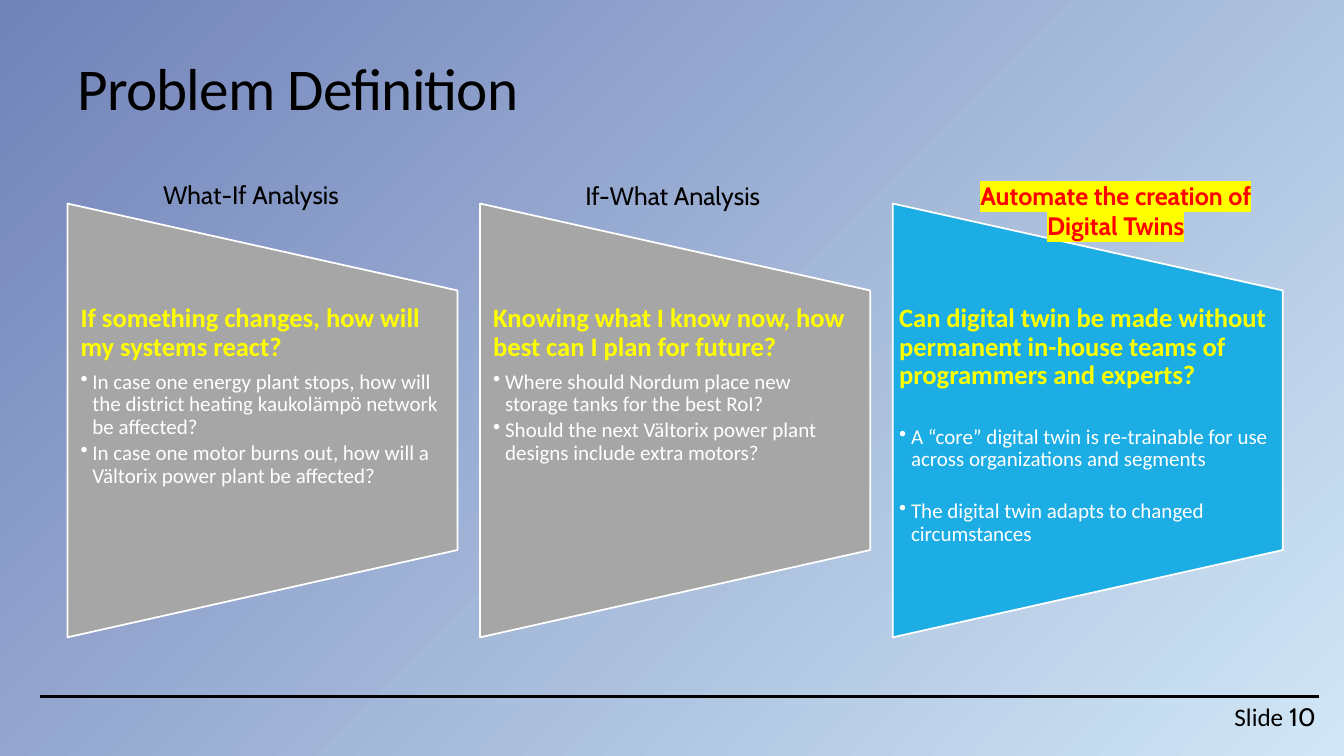
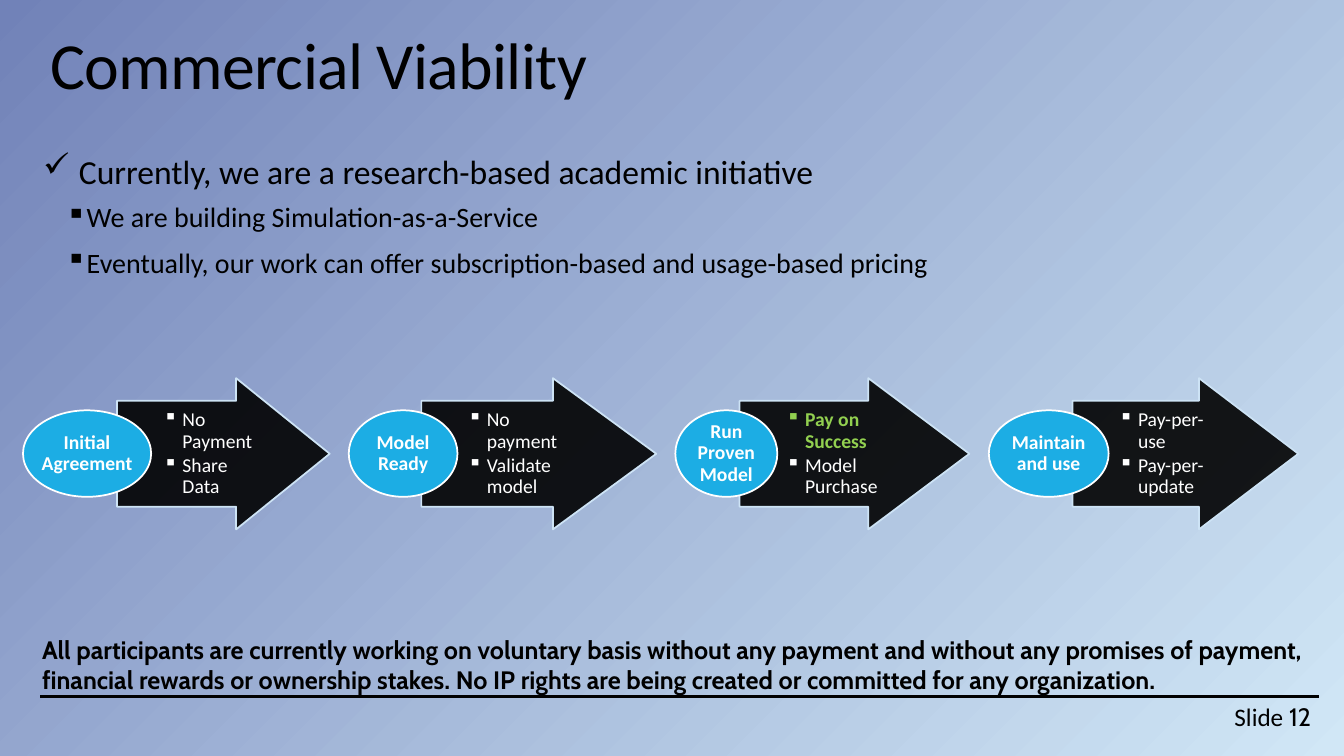
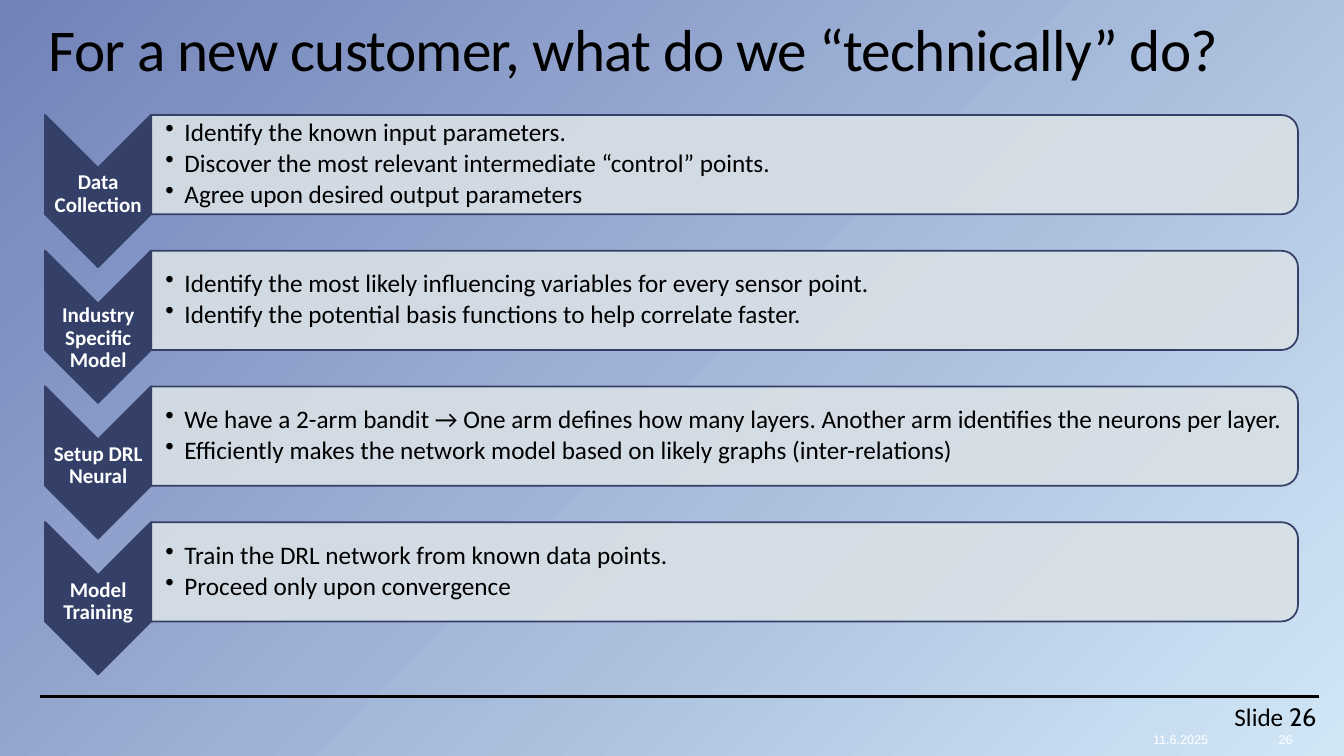
"""Build three slides on digital twins: problem, commercial model and technical steps."""
from copy import deepcopy

from lxml import etree
from pptx import Presentation
from pptx.dml.color import RGBColor
from pptx.enum.shapes import MSO_CONNECTOR, MSO_SHAPE
from pptx.enum.text import MSO_ANCHOR, MSO_AUTO_SIZE, PP_ALIGN
from pptx.oxml.ns import qn
from pptx.util import Cm, Pt

COLORS = {
    "black": "000000", "white": "FFFFFF", "yellow": "FFFF00", "red": "FF0000",
    "green": "92D050", "grey": "A6A6A6", "cyan": "1CADE4", "navy": "344068",
    "pale": "D9E0E6", "ice": "CDE3F5", "sky": "D1E7F6", "dusk": "7182B8",
}
STYLES = {
    "title": {"size": 42.3, "line": 0.9, "spc": -50},
    "big title": {"size": 47, "line": 0.9, "spc": -50},
    "number": {"size": 18},
    "caption": {"size": 18, "name": "Cabin"},
    "marked": {"size": 18, "name": "Cabin", "color": "red", "bold": True,
               "align": PP_ALIGN.CENTER, "highlight": "yellow"},
    "question": {"size": 19, "color": "yellow", "bold": True, "line": 0.9, "after": 6.65},
    "example": {"size": 15, "color": "white", "line": 0.9, "after": 2.25,
                "bullet": "•", "indent": (0.3, -0.3)},
    "spaced": {"size": 15, "color": "white", "line": 0.9, "after": 2.25, "before": 18.7,
               "bullet": "•", "indent": (0.3, -0.3)},
    "claim": {"size": 24, "line": 1.1, "after": 2, "bullet": "✓", "indent": (0.9, -0.9)},
    "detail": {"size": 20, "line": 1.1, "before": 2, "after": 4,
               "bullet": "▪", "indent": (1.07, -0.5)},
    "stage": {"size": 14, "color": "white", "bold": True, "line": 0.9,
              "align": PP_ALIGN.CENTER},
    "term": {"size": 14, "color": "white", "line": 0.9, "after": 2.1,
             "bullet": "▪", "indent": (0.48, -0.48)},
    "payment": {"size": 14, "color": "green", "bold": True, "line": 0.9, "after": 2.1,
                "bullet": "▪", "indent": (0.48, -0.48)},
    "notice": {"size": 18, "name": "Cabin", "bold": True, "indent": (0.56, 0)},
    "step": {"size": 15, "color": "white", "bold": True, "line": 0.9,
             "align": PP_ALIGN.CENTER},
    "task": {"size": 18, "line": 0.9, "after": 2.7, "bullet": "•", "indent": (0.48, -0.48)},
    "date": {"size": 9, "name": "Arial", "color": "white", "align": PP_ALIGN.CENTER},
}


def paint(sp, fill, line, alpha=None):
    sp.shadow.inherit = False
    sp.fill.solid()
    sp.fill.fore_color.rgb = RGBColor.from_string(COLORS[fill])
    sp.line.color.rgb = RGBColor.from_string(COLORS[line])
    sp.line.width = Pt(1.25)
    if alpha:
        clr = sp.element.spPr.find(qn("a:solidFill")).find(qn("a:srgbClr"))
        etree.SubElement(clr, qn("a:alpha"), val=str(alpha * 1000))


def write(sp, paras, margins=(0.25, 0.13, 0.25, 0.13), anchor=MSO_ANCHOR.TOP, wrap=True):
    tf = sp.text_frame
    left, top, right, bottom = map(Cm, margins)
    frame = {"margin_left": left, "margin_top": top, "margin_right": right,
             "margin_bottom": bottom, "vertical_anchor": anchor,
             "word_wrap": wrap, "auto_size": MSO_AUTO_SIZE.NONE}
    for key, value in frame.items():
        setattr(tf, key, value)
    for i, (text, style) in enumerate(paras):
        fmt = STYLES[style]
        p = tf.add_paragraph() if i else tf.paragraphs[0]
        p.text = text
        pPr = p._p.get_or_add_pPr()
        if "indent" in fmt:
            for key, value in zip(("marL", "indent"), fmt["indent"]):
                pPr.set(key, str(Cm(value)))
        if "bullet" in fmt:
            etree.SubElement(pPr, qn("a:buChar"), char=fmt["bullet"])
        layout_values = {"alignment": fmt.get("align", PP_ALIGN.LEFT),
                         "line_spacing": fmt.get("line", 1.0),
                         "space_before": Pt(fmt.get("before", 0)),
                         "space_after": Pt(fmt.get("after", 0))}
        for key, value in layout_values.items():
            setattr(p, key, value)
        for r in p.runs:
            font_values = {"size": Pt(fmt["size"]), "name": fmt.get("name", "Calibri"),
                           "bold": fmt.get("bold", False)}
            for key, value in font_values.items():
                setattr(r.font, key, value)
            r.font.color.rgb = RGBColor.from_string(COLORS[fmt.get("color", "black")])
            rPr = r._r.get_or_add_rPr()
            if "spc" in fmt:
                rPr.set("spc", str(fmt["spc"]))
            if "highlight" in fmt:
                mark = etree.Element(qn("a:highlight"))
                etree.SubElement(mark, qn("a:srgbClr"), val=COLORS[fmt["highlight"]])
                rPr.find(qn("a:solidFill")).addnext(mark)
        for br in p._p.findall(qn("a:br")):
            br.append(deepcopy(p.runs[0]._r.rPr))


prs = Presentation()
prs.slide_width, prs.slide_height = Cm(33.87), Cm(19.05)
layout = prs.slide_layouts[5]

fill = prs.slide_master.background.fill
fill.gradient()
for stop, position, color in zip(fill.gradient_stops, (0, 1), ("sky", "dusk")):
    stop.position = position
    stop.color.rgb = RGBColor.from_string(COLORS[color])
grad = next(prs.slide_master.element.iter(qn("a:gradFill")))
grad.remove(grad.find(qn("a:lin")))
circle = etree.SubElement(grad, qn("a:path"), attrib={"path": "circle"})
etree.SubElement(circle, qn("a:fillToRect"), l="100000", t="100000")

headers = [
    ("Problem Definition", "title", "10", (1.7, 0.41, 12.62, 2.82)),
    ("Commercial Viability", "big title", "12", (1.02, 0.66, 31.7, 2.08)),
    ("For a new customer, what do we “technically” do?", "title", "26",
     (0.97, 0.23, 30.76, 2.03)),
]
for text, style, number, place in headers:
    s = prs.slides.add_slide(layout)
    title = s.shapes.title
    title.left, title.top, title.width, title.height = map(Cm, place)
    write(title, [(text, style)], anchor=MSO_ANCHOR.BOTTOM)
    sp = s.shapes.add_textbox(*map(Cm, (30.86, 17.55, 2.74, 1.02)))
    write(sp, [("Slide ", "number")])
    r = sp.text_frame.paragraphs[0].add_run()
    r.text = number
    r.font.size, r.font.name = Pt(18), "Cabin"
    r.font.color.rgb = RGBColor.from_string(COLORS["black"])
problem, commercial, technical = prs.slides

rule = problem.shapes.add_connector(MSO_CONNECTOR.STRAIGHT,
                                    *map(Cm, (1.02, 17.55, 33.25, 17.55)))
rule.line.color.rgb = RGBColor.from_string(COLORS["black"])
rule.line.width = Pt(2.25)
etree.SubElement(rule.element.spPr, qn("a:effectLst"))
layout.shapes._spTree.append(rule.element)

panels = [
    ("grey", 0.33, [
        ("If something changes, how will my systems react?", "question"),
        ("In case one energy plant stops, how will the district heating kaukolämpö "
         "network be affected?", "example"),
        ("In case one motor burns out, how will a Vältorix power plant be affected?",
         "example")]),
    ("grey", 0.33, [
        ("Knowing what I know now, how best can I plan for future?", "question"),
        ("Where should Nordum place new storage tanks for the best RoI?", "example"),
        ("Should the next Vältorix power plant designs include extra motors?", "example")]),
    ("cyan", 0.16, [
        ("Can digital twin be made without permanent in-house teams of programmers "
         "and experts?", "question"),
        ("A “core” digital twin is re-trainable for use across organizations and segments",
         "spaced"),
        ("The digital twin adapts to changed circumstances", "spaced")]),
]
for i, (color, side, paras) in enumerate(panels):
    left = 1.7 + 10.4 * i
    right = left + 9.83
    outline = problem.shapes.build_freeform(Cm(left), Cm(16.06))
    outline.add_line_segments([(Cm(left), Cm(5.13)), (Cm(right), Cm(7.32)),
                               (Cm(right), Cm(13.86))], close=True)
    sp = outline.convert_to_shape()
    paint(sp, color, "white")
    write(sp, paras, (side, 2.54, side, 2.54))

captions = [
    ("What-If Analysis", "caption", (3.86, 4.39, 5.51, 1.02)),
    ("If-What Analysis", "caption", (14.5, 4.42, 5.51, 1.02)),
    ("Automate the creation of Digital Twins", "marked", (24.41, 4.42, 7.42, 1.8)),
]
for text, style, place in captions:
    write(problem.shapes.add_textbox(*map(Cm, place)), [(text, style)])

stages = [
    ("Initial\vAgreement", 0.58, 3.23, 2.95, 5.36,
     [("No Payment", "term"), ("Share Data", "term")]),
    ("Model\vReady", 8.79, 2.74, 10.62, 5.92,
     [("No payment", "term"), ("Validate model", "term")]),
    ("Run\vProven\vModel", 17.02, 2.57, 18.64, 5.79,
     [("Pay on Success", "payment"), ("Model Purchase", "term")]),
    ("Maintain\vand use", 24.92, 3.02, 27.03, 5.69,
     [("Pay-per-use", "term"), ("Pay-per-update", "term")]),
]
for name, oval_x, oval_w, arrow_x, arrow_w, terms in stages:
    arrow = commercial.shapes.add_shape(MSO_SHAPE.RIGHT_ARROW,
                                        *map(Cm, (arrow_x, 9.53, arrow_w, 3.81)))
    arrow.adjustments[0] = 0.7
    arrow.adjustments[1] = 0.44 * arrow_w / 3.81
    paint(arrow, "black", "ice", 90)
    write(arrow, terms, (1.17, 0, 0, 0), MSO_ANCHOR.MIDDLE)
    oval = commercial.shapes.add_shape(MSO_SHAPE.OVAL,
                                       *map(Cm, (oval_x, 10.34, oval_w, 2.18)))
    paint(oval, "cyan", "white")
    write(oval, [(name, "stage")], (0, 0, 0, 0), MSO_ANCHOR.MIDDLE, wrap=False)

sp = commercial.shapes.add_textbox(*map(Cm, (1.09, 3.56, 32.77, 4.67)))
write(sp, [
    ("Currently, we are a research-based academic initiative", "claim"),
    ("We are building Simulation-as-a-Service", "detail"),
    ("Eventually, our work can offer subscription-based and usage-based pricing", "detail"),
], (0, 0.13, 0, 0.13))
sp = commercial.shapes.add_textbox(*map(Cm, (0.25, 15.85, 33.02, 1.8)))
write(sp, [("All participants are currently working on voluntary basis without any payment "
            "and without any promises of payment, financial rewards or ownership stakes. "
            "No IP rights are being created or committed for any organization.", "notice")])

steps = [
    ("Data Collection", 0.2, [
        "Identify the known input parameters.",
        "Discover the most relevant intermediate “control” points.",
        "Agree upon desired output parameters"]),
    ("Industry Specific Model", 0.61, [
        "Identify the most likely influencing variables for every sensor point.",
        "Identify the potential basis functions to help correlate faster."]),
    ("Setup DRL Neural", 0.2, [
        "We have a 2-arm bandit → One arm defines how many layers. "
        "Another arm identifies the neurons per layer.",
        "Efficiently makes the network model based on likely graphs (inter-relations)"]),
    ("Model Training", 0.2, [
        "Train the DRL network from known data points.",
        "Proceed only upon convergence"]),
]
for i, (name, top_margin, tasks) in enumerate(steps):
    y = 3.42 * i
    chevron = technical.shapes.add_shape(MSO_SHAPE.CHEVRON,
                                         *map(Cm, (0.55, 3.48 + y, 3.84, 2.67)))
    bar = technical.shapes.add_shape(MSO_SHAPE.ROUND_2_SAME_RECTANGLE,
                                     *map(Cm, (17.01, y - 10.3, 2.5, 28.9)))
    chevron.rotation = bar.rotation = 90
    paint(chevron, "navy", "navy")
    paint(bar, "pale", "navy", 90)
    sp = technical.shapes.add_textbox(*map(Cm, (1.14, 4.24 + y, 2.67, 1.14)))
    write(sp, [(name, "step")], (0.02, top_margin, 0.02, 0.02), MSO_ANCHOR.MIDDLE)
    sp = technical.shapes.add_textbox(*map(Cm, (3.81, 3.02 + y, 28.78, 2.24)))
    write(sp, [(task, "task") for task in tasks], (0.36, 0.02, 0.02, 0.02),
          MSO_ANCHOR.MIDDLE)

for text, x, w in (("11.6.2025", 28.22, 3.07), ("26", 31.55, 1.7)):
    sp = technical.shapes.add_textbox(*map(Cm, (x, 18.31, w, 0.51)))
    write(sp, [(text, "date")])

prs.save("out.pptx")
